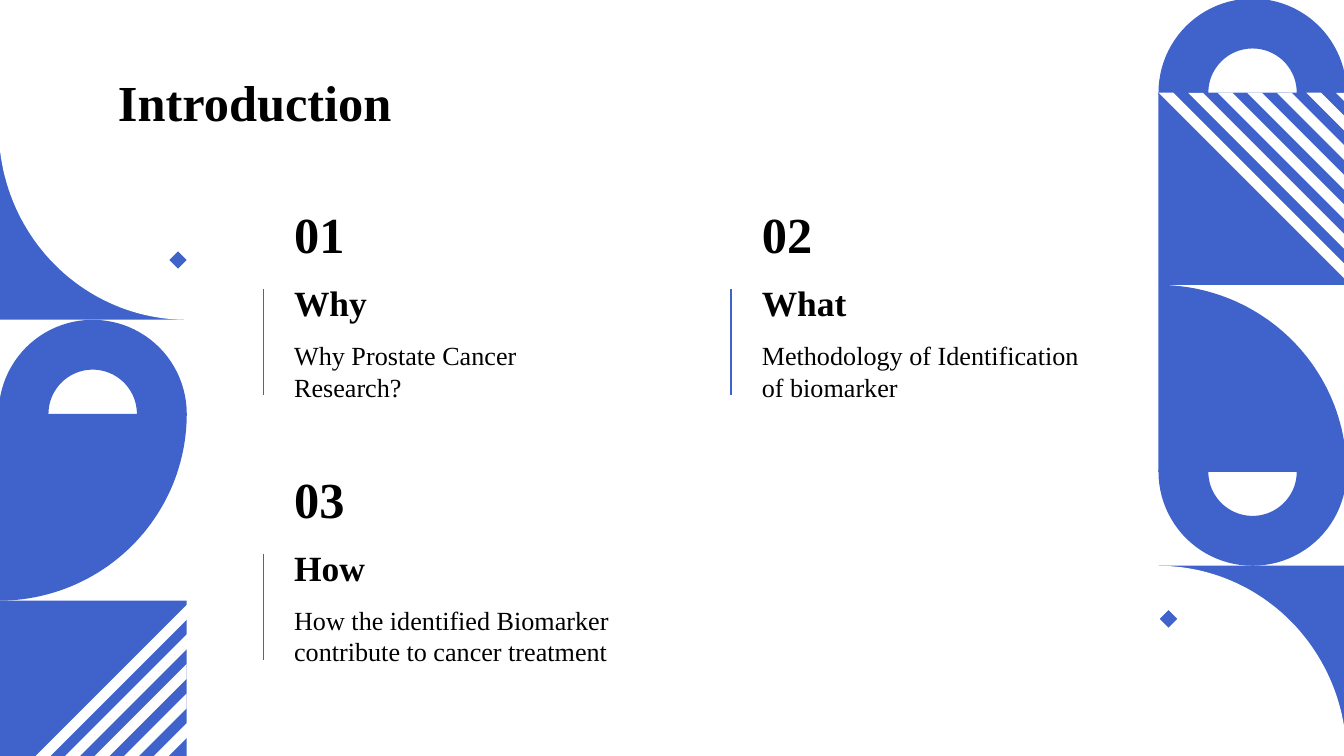
from math import cos, pi, sin

from lxml.etree import SubElement
from pptx import Presentation
from pptx.dml.color import RGBColor
from pptx.enum.shapes import MSO_CONNECTOR as Connector, MSO_SHAPE as Shape
from pptx.enum.text import MSO_ANCHOR as Anchor
from pptx.oxml.ns import qn
from pptx.util import Inches, Pt

COLORS = {"blue": "3F63CA", "white": "FFFFFF", "text": "000000"}
FONT = "Times New Roman"
SLIDE_WIDTH = 10
SLIDE_HEIGHT = SLIDE_WIDTH * 9 / 16

# Decorative columns: one tile wide, each kind of tile with its own height
TILE_WIDTH = 1.4
TILE_HEIGHTS = {"arch": 0.7, "striped": 1.43, "quarter": 1.39, "corner": 1.43}
STRIPE_STEP, STRIPE_WIDTH = 0.22, 0.11
DIAMOND_SIZE = 0.13
OVERLAP = 0.02  # share of a tile that hides the seam to its neighbour

# Content grid
COLUMN_LEFT, COLUMN_STEP = 1.96, 3.48
ROW_TOP, ROW_STEP = 1.43, 1.97
TOPICS = [
    (0, 0, "01", "Why", "Why Prostate Cancer Research?"),
    (1, 0, "02", "What", "Methodology of Identification of biomarker"),
    (0, 1, "03", "How",
     "How the identified Biomarker contribute to cancer treatment"),
]


def color(name):
    return RGBColor.from_string(COLORS[name])


def paint(shape, fill):
    shape.shadow.inherit = False
    shape.fill.solid()
    shape.fill.fore_color.rgb = color(fill)
    shape.line.fill.background()


def add_text(slide, box, text, size=14, bold=False, anchor=Anchor.MIDDLE):
    frame = slide.shapes.add_textbox(*map(Inches, box)).text_frame
    frame.word_wrap = True
    frame.vertical_anchor = anchor
    frame.margin_left = frame.margin_right = Inches(0.1)
    frame.margin_top = frame.margin_bottom = Inches(0.1)
    paragraph = frame.paragraphs[0]
    paragraph.text = text
    font = paragraph.font
    font.name, font.size, font.bold = FONT, Pt(size), bold
    font.color.rgb = color("text")


def arc(center, radii, start, end, steps=48):
    """Points on an ellipse, in shares of a tile; angles in half turns."""
    angles = [pi * (start + (end - start) * i / steps) for i in range(steps + 1)]
    return [(center[0] + radii[0] * cos(angle), center[1] - radii[1] * sin(angle))
            for angle in angles]


def add_polygon(slide, box, points, fill, flip_x=False, flip_y=False):
    """Draw points given as shares of the box, mirrored on request."""
    left, top, width, height = box
    corners = [(Inches(left + width * (1 - x if flip_x else x)),
                Inches(top + height * (1 - y if flip_y else y)))
               for x, y in points]
    builder = slide.shapes.build_freeform(*corners[0], scale=1.0)
    builder.add_line_segments(corners[1:], close=True)
    paint(builder.convert_to_shape(), fill)


def add_block(slide, box):
    shape = slide.shapes.add_shape(Shape.RECTANGLE, *map(Inches, box))
    paint(shape, "blue")


def arch_tile(slide, box, **flips):
    foot = 1 + OVERLAP
    outline = (arc((0.5, 1), (0.5, 1), 1, 0) + [(1, foot), (0.735, foot)]
               + arc((0.5, 1), (0.235, 0.47), 0, 1) + [(0.265, foot), (0, foot)])
    add_polygon(slide, box, outline, "blue", **flips)


def quarter_tile(slide, box, **flips):
    add_polygon(slide, box, [(0, 1)] + arc((0, 1), (1, 1), 0.5, 0), "blue", **flips)


def corner_tile(slide, box, **flips):
    add_block(slide, box)
    near, far = -OVERLAP, 1 + OVERLAP
    cutout = [(1, far), (near, far), (near, near), (0, near)]
    add_polygon(slide, box, cutout + arc((0, 1), (1, 1), 0.5, 0), "white", **flips)


def striped_tile(slide, box, count=7, **flips):
    add_block(slide, box)
    width, height = box[2:]
    for index in range(count):
        near = index * STRIPE_STEP
        far = min(near + STRIPE_WIDTH, width)
        stripe = [(near, 0), (far, 0), (width, width - far), (width, width - near)]
        shares = [(x / width, y / height) for x, y in stripe]
        add_polygon(slide, box, shares, "white", **flips)


def tile_column(slide, left, top, tiles):
    """Stack tiles downwards from the given corner."""
    draw = {"arch": arch_tile, "quarter": quarter_tile,
            "corner": corner_tile, "striped": striped_tile}
    for kind, options in tiles:
        height = TILE_HEIGHTS[kind]
        draw[kind](slide, (left, top, TILE_WIDTH, height), **options)
        top += height


def add_diamond(slide, left, top):
    box = (left, top, DIAMOND_SIZE, DIAMOND_SIZE)
    paint(slide.shapes.add_shape(Shape.DIAMOND, *map(Inches, box)), "blue")


def add_rule(slide, x, top, bottom):
    line = slide.shapes.add_connector(
        Connector.STRAIGHT, *map(Inches, (x, top, x, bottom)))
    line.line.color.rgb = color("blue")
    line.line.width = Pt(0.75)
    SubElement(line._element.spPr, qn("a:effectLst"))


def topic(slide, left, top, number, heading, body):
    text_left = left + 0.13
    add_text(slide, (text_left, top, 1.3, 0.63), number, size=27, bold=True,
             anchor=Anchor.BOTTOM)
    add_text(slide, (text_left, top + 0.66, 3.05, 0.32), heading, size=19, bold=True)
    add_text(slide, (text_left, top + 1.11, 2.63, 0.44), body)
    add_rule(slide, left, top + 0.72, top + 1.51)


def main():
    presentation = Presentation()
    presentation.slide_width = Inches(SLIDE_WIDTH)
    presentation.slide_height = Inches(SLIDE_HEIGHT)
    slide = presentation.slides.add_slide(presentation.slide_layouts[6])

    # Right decoration
    tile_column(slide, 8.62, -0.01, [
        ("arch", {}), ("striped", {}), ("quarter", {}),
        ("arch", {"flip_y": True}), ("corner", {})])
    add_diamond(slide, 8.63, 4.54)

    # Left decoration
    tile_column(slide, -0.01, 0.95, [
        ("corner", {"flip_x": True, "flip_y": True}), ("arch", {}),
        ("quarter", {"flip_y": True}), ("striped", {"count": 5, "flip_y": True})])
    add_diamond(slide, 1.26, 1.87)

    # Title and topics
    add_text(slide, (0.78, 0.49, 8.44, 0.53), "Introduction", size=27, bold=True)
    for column, row, *texts in TOPICS:
        topic(slide, COLUMN_LEFT + column * COLUMN_STEP,
              ROW_TOP + row * ROW_STEP, *texts)

    presentation.save("out.pptx")


if __name__ == "__main__":
    main()
